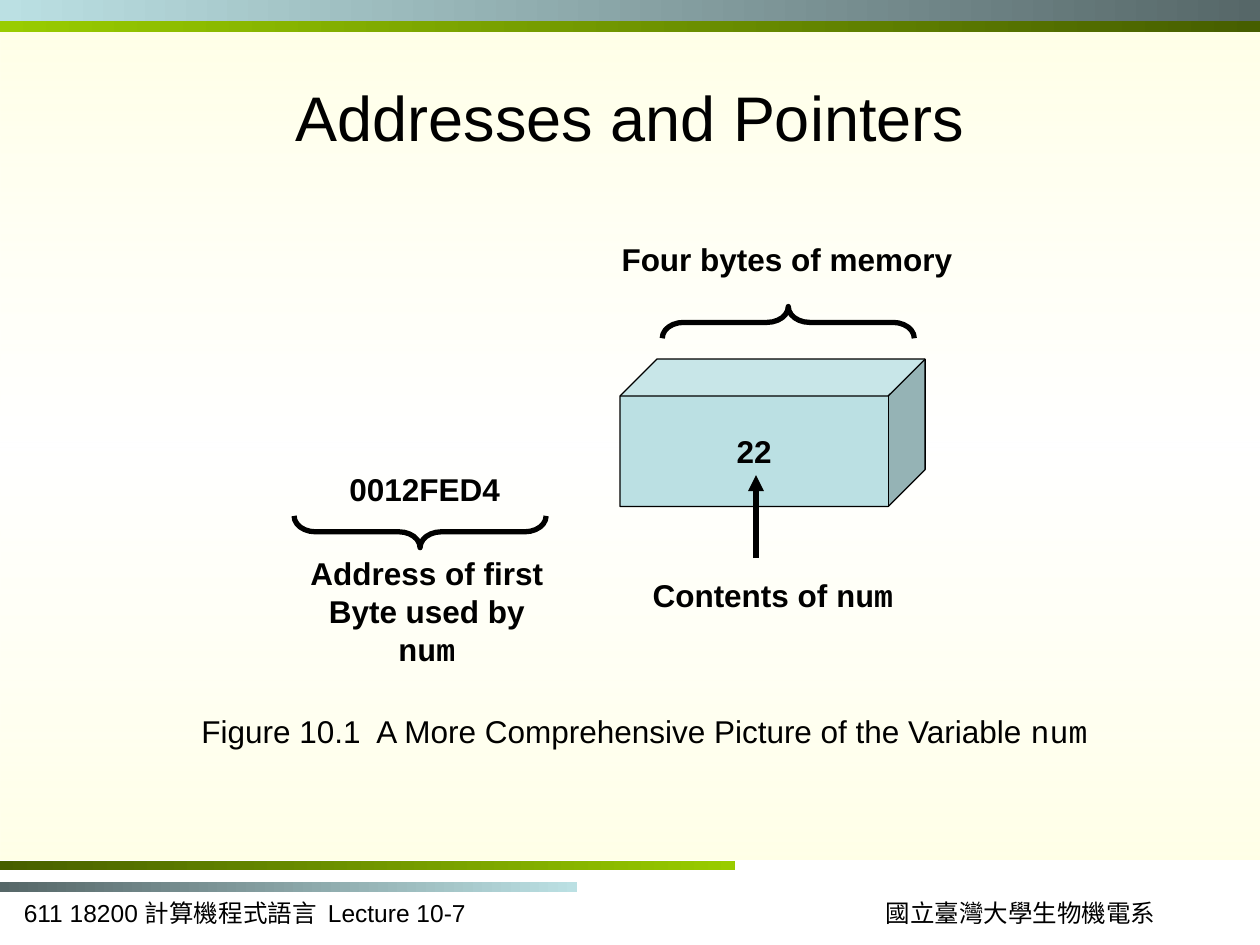
from lxml import etree
from pptx import Presentation
from pptx.dml.color import RGBColor
from pptx.enum.shapes import MSO_CONNECTOR, MSO_SHAPE
from pptx.enum.text import MSO_ANCHOR, PP_ALIGN
from pptx.oxml.ns import qn
from pptx.util import Cm, Pt

RECTANGLE = MSO_SHAPE.RECTANGLE
CUBE = MSO_SHAPE.CUBE
LEFT_BRACE = MSO_SHAPE.LEFT_BRACE
STRAIGHT = MSO_CONNECTOR.STRAIGHT
LEFT, CENTER = PP_ALIGN.LEFT, PP_ALIGN.CENTER
TOP, MIDDLE = MSO_ANCHOR.TOP, MSO_ANCHOR.MIDDLE

COLORS = {
    "ink": "000000",
    "aqua": "BBE0E3",
    "dark_aqua": "566768",
    "lime": "99CC00",
    "dark_lime": "465E00",
    "cream": "FFFFCC",
    "pale_cream": "FFFFD8",
}
SANS, SERIF, CODE = "Arial", "Times New Roman", "Courier New"


class SlideBuilder:
    def __init__(self, slide):
        self.slide = slide
        self.ink = RGBColor.from_string(COLORS["ink"])

    def add_shape(self, kind, box):
        shape = self.slide.shapes.add_shape(kind, *map(Cm, box))
        shape.shadow.inherit = False
        return shape

    def outline(self, line, width):
        line.color.rgb = self.ink
        line.width = Pt(width)

    def gradient_bar(self, box, stops, angle=0):
        bar = self.add_shape(RECTANGLE, box)
        bar.line.fill.background()
        bar.fill.gradient()
        bar.fill.gradient_angle = angle
        stop_list = next(bar._element.iter(qn("a:gsLst")))
        stop_list.clear()
        for position, color, opacity in stops:
            stop = etree.SubElement(stop_list, qn("a:gs"), pos=str(position * 1000))
            value = etree.SubElement(stop, qn("a:srgbClr"), val=COLORS[color])
            if opacity < 100:
                etree.SubElement(value, qn("a:alpha"), val=str(opacity * 1000))

    def fill_frame(self, frame, lines, size=18, bold=False, align=CENTER, font=SANS,
                   anchor=TOP, wrap=False):
        frame.word_wrap = wrap
        frame.vertical_anchor = anchor
        for index, (words, code) in enumerate(lines):
            paragraph = frame.add_paragraph() if index else frame.paragraphs[0]
            paragraph.alignment = align
            paragraph.font.size = Pt(size)
            paragraph.font.bold = bold
            paragraph.font.name = font
            paragraph.font.color.rgb = self.ink
            paragraph.add_run().text = words
            if code:
                run = paragraph.add_run()
                run.text = code
                run.font.name = CODE

    def text(self, box, lines, **style):
        text_box = self.slide.shapes.add_textbox(*map(Cm, box))
        self.fill_frame(text_box.text_frame, lines, **style)

    def cube(self, box, label):
        cube = self.add_shape(CUBE, box)
        cube.fill.solid()
        cube.fill.fore_color.rgb = RGBColor.from_string(COLORS["aqua"])
        self.outline(cube.line, 0.75)
        self.fill_frame(cube.text_frame, [(label, "")], bold=True, anchor=MIDDLE)

    def brace(self, left, top, rotation):
        brace = self.add_shape(LEFT_BRACE, (left, top, 0.64, 5.08))
        brace.rotation = rotation
        brace.adjustments[0] = 0.67
        brace.fill.background()
        self.outline(brace.line, 3)

    def arrow(self, start, end):
        arrow = self.slide.shapes.add_connector(STRAIGHT, *map(Cm, start + end))
        self.outline(arrow.line, 3)
        outline = arrow._element.spPr.find(qn("a:ln"))
        etree.SubElement(outline, qn("a:tailEnd"), type="triangle")
        etree.SubElement(arrow._element.spPr, qn("a:effectLst"))


def main():
    presentation = Presentation()
    presentation.slide_width = Cm(25.4)
    presentation.slide_height = Cm(19.05)
    builder = SlideBuilder(presentation.slides.add_slide(presentation.slide_layouts[6]))

    bars = [
        ((0, 0.41, 25.4, 0.23), "lime", "dark_lime"),
        ((0, 17.78, 11.63, 0.2), "dark_aqua", "aqua"),
        ((0, 17.35, 14.81, 0.2), "dark_lime", "lime"),
        ((0, 0, 25.4, 0.43), "aqua", "dark_aqua"),
    ]
    cream_stops = [(0, "cream", 46), (50, "pale_cream", 0), (100, "cream", 46)]
    builder.gradient_bar((0, 0.64, 25.4, 16.69), cream_stops, angle=270)
    for box, first, last in bars:
        builder.gradient_bar(box, [(0, first, 100), (100, last, 100)])

    builder.text((0.23, 17.98, 12.07, 0.84),
                 [("611 18200 計算機程式語言  Lecture 10-7", "")],
                 size=14, align=LEFT, wrap=True)
    builder.text((17.58, 17.98, 5.99, 0.84), [("國立臺灣大學生物機電系", "")],
                 size=14, font=SERIF, wrap=True)
    builder.text((1.27, 0.76, 22.86, 3.18), [("Addresses and Pointers", "")],
                 size=36, anchor=MIDDLE, wrap=True)

    builder.cube((12.5, 7.24, 6.15, 2.97), "22")
    builder.brace(8.15, 8.18, 270)
    builder.brace(15.57, 3.96, 90)
    labels = [
        ((6.78, 9.35, 3.56, 1.02), [("0012FED4", "")]),
        ((5.72, 11.05, 5.77, 1.78), [("Address of first", ""), ("Byte used by ", "num")]),
        ((12.27, 4.72, 7.19, 1.02), [("Four bytes of memory", "")]),
        ((12.9, 11.48, 5.36, 1.02), [("Contents of ", "num")]),
    ]
    for box, lines in labels:
        builder.text(box, lines, bold=True)
    builder.arrow((15.24, 11.25), (15.24, 9.58))
    builder.text((3.81, 14.22, 18.9, 1.02),
                 [("Figure 10.1  A More Comprehensive Picture of the Variable ", "num")],
                 align=LEFT)

    presentation.save("out.pptx")


if __name__ == "__main__":
    main()
